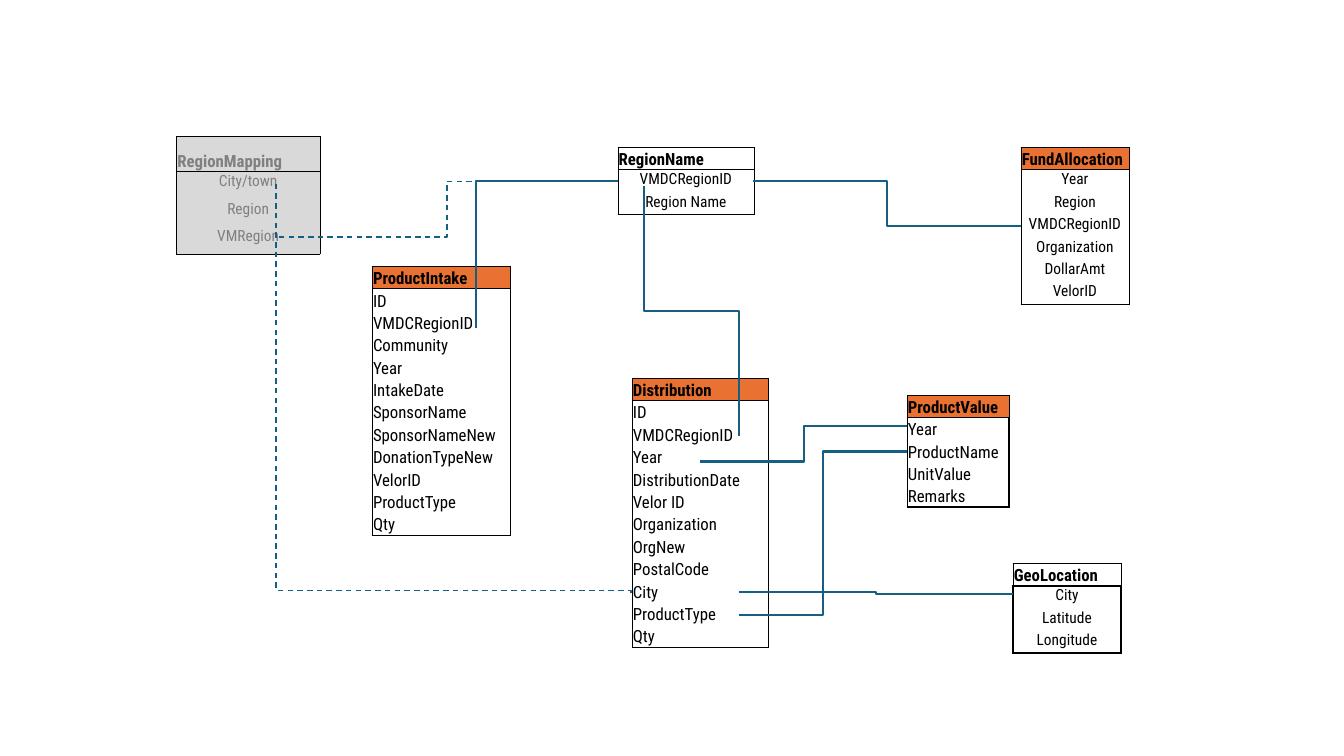
import pptx
import pptx.util
import pptx.dml.color
import pptx.enum.dml
import pptx.enum.shapes
import pptx.enum.text
import pptx.oxml
import pptx.oxml.ns

Cm = pptx.util.Cm
Pt = pptx.util.Pt
RGB = pptx.dml.color.RGBColor.from_string
ALIGN = pptx.enum.text.PP_ALIGN
ANCHOR = pptx.enum.text.MSO_ANCHOR

COLORS = {"ink": "000000", "muted": "808080", "grey": "D9D9D9",
          "orange": "E97132", "link": "156082"}
FONT = "Roboto Condensed"
FORMATS = {
    "head": {"font": {"size": Pt(12), "bold": True},
             "align": ALIGN.LEFT, "anchor": ANCHOR.BOTTOM},
    "left": {"font": {"size": Pt(12), "bold": False},
             "align": ALIGN.LEFT, "anchor": ANCHOR.BOTTOM},
    "center": {"font": {"size": Pt(11), "bold": False},
               "align": ALIGN.CENTER, "anchor": ANCHOR.TOP},
}
MARGINS = {"margin_left": Cm(0.02), "margin_right": Cm(0.02),
           "margin_top": Cm(0.02), "margin_bottom": Cm(0)}

ENTITIES = [
    {"box": (4.45, 3.43, 3.61, 2.97), "body": "center", "ink": "muted",
     "head_fill": "grey", "body_fill": "grey", "head_height": 0.89,
     "names": ["RegionMapping", "City/town", "Region", "VMRegion"]},
    {"box": (9.38, 6.71, 3.48, 6.78), "body": "left", "head_fill": "orange",
     "names": ["ProductIntake", "ID", "VMDCRegionID", "Community", "Year",
               "IntakeDate", "SponsorName", "SponsorNameNew",
               "DonationTypeNew", "VelorID", "ProductType", "Qty"]},
    {"box": (15.93, 9.53, 3.43, 6.78), "body": "left", "head_fill": "orange",
     "names": ["Distribution", "ID", "VMDCRegionID", "Year",
               "DistributionDate", "Velor ID", "Organization", "OrgNew",
               "PostalCode", "City", "ProductType", "Qty"]},
    {"box": (22.86, 9.96, 2.57, 2.82), "body": "left", "head_fill": "orange",
     "edge": 1,
     "names": ["ProductValue", "Year", "ProductName", "UnitValue", "Remarks"]},
    {"box": (25.73, 3.71, 2.72, 3.96), "body": "center",
     "head_fill": "orange",
     "names": ["FundAllocation", "Year", "Region", "VMDCRegionID",
               "Organization", "DollarAmt", "VelorID"]},
    {"box": (15.57, 3.71, 3.43, 1.7), "body": "center",
     "names": ["RegionName", "VMDCRegionID", "Region Name"]},
    {"box": (25.53, 14.2, 2.72, 2.26), "body": "center", "edge": 1,
     "names": ["GeoLocation", "City", "Latitude", "Longitude"]},
]

LINKS = [
    {"start": (18.62, 11), "end": (16.23, 4.7), "upright": True},
    {"start": (17.65, 11.63), "end": (22.86, 10.74)},
    {"start": (18.62, 15.49), "end": (22.86, 11.38)},
    {"start": (25.73, 5.69), "end": (18.99, 4.57)},
    {"start": (15.9, 14.94), "end": (6.96, 4.57), "upright": True,
     "dashed": True, "bend": 600},
    {"start": (15.57, 4.57), "end": (11.99, 8.26), "preset": "bentConnector2"},
    {"start": (15.57, 4.57), "end": (6.96, 5.97), "dashed": True},
    {"start": (18.62, 14.92), "end": (25.53, 14.97)},
]


def set_borders(cell, widths):
    tcPr = cell._tc.get_or_add_tcPr()
    ns = pptx.oxml.ns.nsdecls("a")
    for side in "LRTB":
        width = widths.get(side)
        if width:
            paint = f'<a:solidFill><a:srgbClr val="{COLORS["ink"]}"/></a:solidFill>'
        else:
            paint = "<a:noFill/>"
        tcPr.append(pptx.oxml.parse_xml(
            f'<a:ln{side} {ns} w="{Pt(width or 0)}">{paint}</a:ln{side}>'))


def fill_cell(cell, text, fmt, ink, fill):
    for name, value in MARGINS.items():
        setattr(cell, name, value)
    cell.vertical_anchor = fmt["anchor"]
    if fill:
        cell.fill.solid()
        cell.fill.fore_color.rgb = RGB(COLORS[fill])
    else:
        cell.fill.background()
    p = cell.text_frame.paragraphs[0]
    p.alignment = fmt["align"]
    r = p.add_run()
    r.text = text
    for name, value in {**fmt["font"], "name": FONT}.items():
        setattr(r.font, name, value)
    r.font.color.rgb = RGB(COLORS[ink])


def add_entity(s, box, names, body, ink="ink", head_fill=None, body_fill=None,
               head_height=None, edge=0.5):
    x, y, w, h = box
    count = len(names)
    head_height = head_height or h / count
    row_height = (h - head_height) / (count - 1)
    table = s.shapes.add_table(count, 1, Cm(x), Cm(y), Cm(w), Cm(h)).table
    table.first_row = False
    table.horz_banding = False
    for i, name in enumerate(names):
        is_head = i == 0
        table.rows[i].height = Cm(head_height if is_head else row_height)
        side = 0.5 if is_head else edge
        widths = {"L": side, "R": side}
        if is_head:
            widths.update(T=side, B=edge)
        if i == 1:
            widths["T"] = edge
        if i == count - 1:
            widths["B"] = edge
        cell = table.cell(i, 0)
        set_borders(cell, widths)
        fill_cell(cell, name, FORMATS["head" if is_head else body], ink,
                  head_fill if is_head else body_fill)


def add_link(s, start, end, upright=False, dashed=False, bend=50000,
             preset="bentConnector3"):
    (x1, y1), (x2, y2) = start, end
    if upright:
        cx, cy = (x1 + x2) / 2, (y1 + y2) / 2
        dx, dy = (y1 - y2) / 2, (x2 - x1) / 2
        x1, y1, x2, y2 = cx - dx, cy - dy, cx + dx, cy + dy
    sp = s.shapes.add_connector(pptx.enum.shapes.MSO_CONNECTOR.ELBOW,
                                Cm(x1), Cm(y1), Cm(x2), Cm(y2))
    sp.line.color.rgb = RGB(COLORS["link"])
    sp.line.width = Pt(1 if dashed else 1.5)
    if dashed:
        sp.line.dash_style = pptx.enum.dml.MSO_LINE.DASH
    qn = pptx.oxml.ns.qn
    ns = pptx.oxml.ns.nsdecls("a")
    spPr = sp._element.spPr
    if upright:
        spPr.find(qn("a:xfrm")).set("rot", "16200000")
    geom = spPr.find(qn("a:prstGeom"))
    geom.set("prst", preset)
    if preset == "bentConnector3":
        geom.find(qn("a:avLst")).append(pptx.oxml.parse_xml(
            f'<a:gd {ns} name="adj1" fmla="val {bend}"/>'))
    spPr.append(pptx.oxml.parse_xml(f"<a:effectLst {ns}/>"))


def main():
    prs = pptx.Presentation()
    prs.slide_width, prs.slide_height = Cm(33.87), Cm(19.05)
    s = prs.slides.add_slide(prs.slide_layouts[6])
    for entity in ENTITIES:
        add_entity(s, **entity)
    for link in LINKS:
        add_link(s, **link)
    prs.save("out.pptx")


if __name__ == "__main__":
    main()
